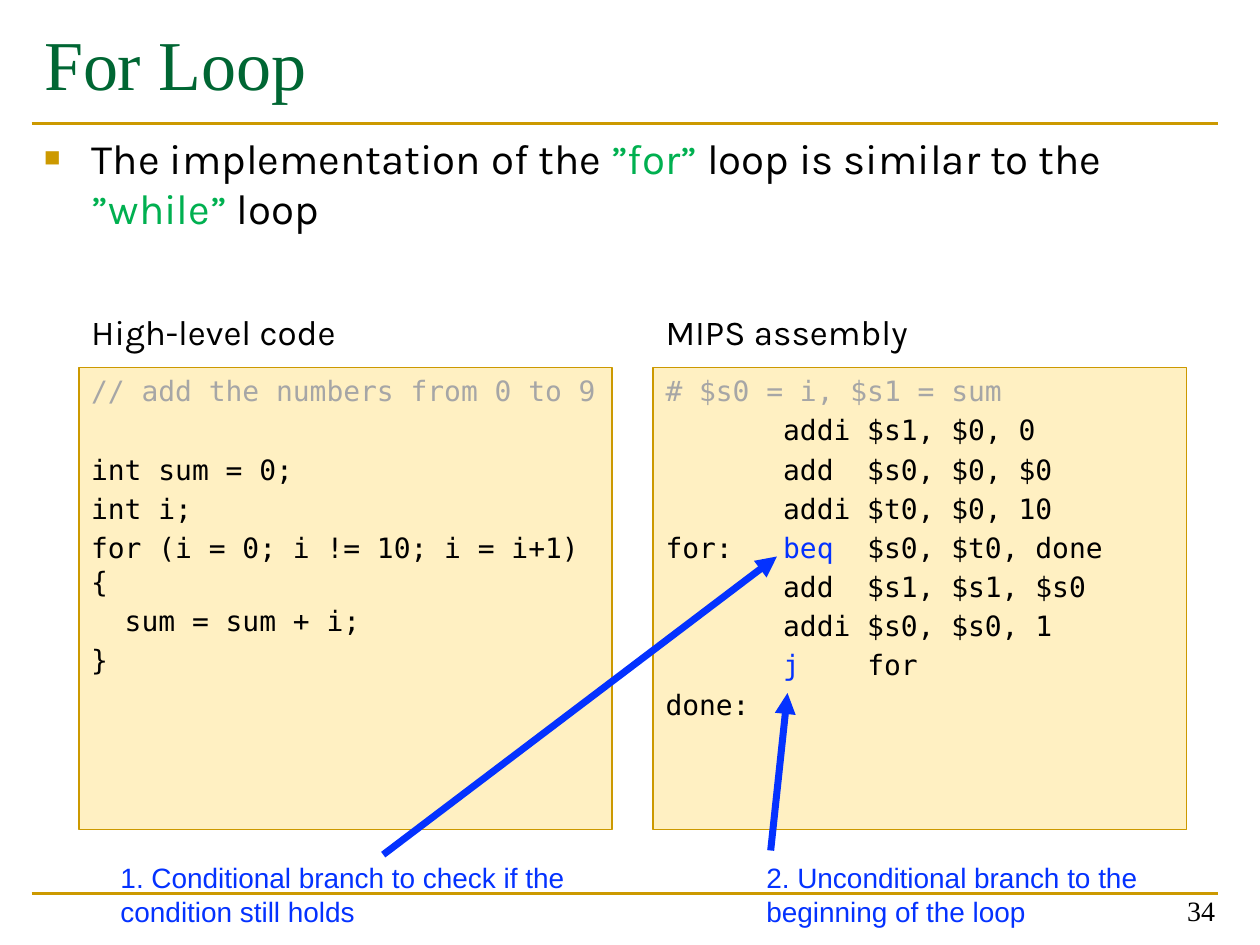
from dataclasses import dataclass

from lxml.etree import SubElement
from pptx import Presentation
from pptx.dml.color import RGBColor
from pptx.enum.shapes import MSO_CONNECTOR, MSO_SHAPE
from pptx.enum.text import MSO_ANCHOR, MSO_AUTO_SIZE, PP_ALIGN
from pptx.oxml.ns import qn
from pptx.util import Inches, Pt

BLACK = RGBColor(0x00, 0x00, 0x00)
GOLD = RGBColor(0xCC, 0x99, 0x00)
CREAM = RGBColor(0xFF, 0xF0, 0xC2)
DARK_GREEN = RGBColor(0x00, 0x66, 0x33)
GREEN = RGBColor(0x00, 0xB0, 0x50)
GRAY = RGBColor(0xA6, 0xA6, 0xA6)
BLUE = RGBColor(0x04, 0x32, 0xFF)

# Grid of 120 columns by 90 rows
COLUMNS, ROWS = 120, 90
SLIDE_WIDTH, SLIDE_HEIGHT = Inches(10), Inches(7.5)

SERIF, SANS, MONO, CALLOUT_FONT = "Times New Roman", "Karla", "DejaVu Sans Mono", "Arial"
CODE_SIZE = 16
CODE_GAP = 0.2 * CODE_SIZE
BLANK_LINE_GAP = 22.4


@dataclass
class Area:
    column: float
    row: float
    columns: float
    rows: float

    def box(self) -> tuple:
        return x(self.column), y(self.row), x(self.columns), y(self.rows)


@dataclass
class Span:
    text: str
    color: RGBColor = BLACK


@dataclass
class CodeLine:
    spans: list[Span]
    blank_above: bool = False


@dataclass
class Panel:
    heading: str
    column: float
    lines: list[CodeLine]


@dataclass
class Callout:
    text: str
    area: Area
    start: tuple[float, float]
    end: tuple[float, float]


def x(columns: float) -> int:
    return round(SLIDE_WIDTH * columns / COLUMNS)


def y(rows: float) -> int:
    return round(SLIDE_HEIGHT * rows / ROWS)


def code(text: str, color: RGBColor = BLACK, blank_above: bool = False) -> CodeLine:
    return CodeLine([Span(text, color)], blank_above)


def add_runs(paragraph, spans: list[Span], font: str, size: float) -> None:
    for span in spans:
        run = paragraph.add_run()
        run.text = span.text
        run.font.name = font
        run.font.size = Pt(size)
        run.font.color.rgb = span.color


def place(shape, area: Area, anchor=MSO_ANCHOR.TOP):
    shape.left, shape.top, shape.width, shape.height = area.box()
    frame = shape.text_frame
    frame.word_wrap = True
    frame.auto_size = MSO_AUTO_SIZE.NONE
    frame.vertical_anchor = anchor
    paragraph = frame.paragraphs[0]
    paragraph.alignment = PP_ALIGN.LEFT
    paragraph.space_before = Pt(0)
    return paragraph


def add_label(slide, area: Area, span: Span, font: str, size: float,
              anchor=MSO_ANCHOR.TOP):
    paragraph = place(slide.shapes.add_textbox(*area.box()), area, anchor)
    add_runs(paragraph, [span], font, size)
    return paragraph


def add_line(slide, start: tuple, end: tuple, color: RGBColor, width: float,
             arrow: bool = False) -> None:
    connector = slide.shapes.add_connector(
        MSO_CONNECTOR.STRAIGHT, x(start[0]), y(start[1]), x(end[0]), y(end[1]))
    connector.line.color.rgb = color
    connector.line.width = Pt(width)
    if arrow:
        SubElement(connector.line._get_or_add_ln(), qn("a:tailEnd"), type="triangle")
    SubElement(connector._element.spPr, qn("a:effectLst"))


def add_bullet(paragraph) -> None:
    properties = paragraph._p.get_or_add_pPr()
    properties.set("marL", str(Inches(0.38)))
    properties.set("indent", str(-Inches(0.38)))
    color = SubElement(properties, qn("a:buClr"))
    SubElement(color, qn("a:srgbClr"), val=str(GOLD))
    SubElement(properties, qn("a:buSzPct"), val="65000")
    SubElement(properties, qn("a:buFont"), typeface="Arial")
    SubElement(properties, qn("a:buChar"), char="■")


def add_panel(slide, panel: Panel) -> None:
    area = Area(panel.column, 35, 50.8, 44)
    shape = slide.shapes.add_shape(MSO_SHAPE.RECTANGLE, *area.box())
    shape.shadow.inherit = False
    shape.fill.solid()
    shape.fill.fore_color.rgb = CREAM
    shape.line.color.rgb = GOLD
    shape.line.width = Pt(1)
    paragraph = place(shape, area)
    for index, line in enumerate(panel.lines):
        if index:
            paragraph = shape.text_frame.add_paragraph()
            paragraph.alignment = PP_ALIGN.LEFT
            paragraph.space_before = Pt(CODE_GAP + BLANK_LINE_GAP * line.blank_above)
        add_runs(paragraph, line.spans, MONO, CODE_SIZE)
    add_label(slide, Area(panel.column, 29, 50.8, 6), Span(panel.heading), SANS, 20)


def add_callout(slide, callout: Callout) -> None:
    add_label(slide, callout.area, Span(callout.text, BLUE), CALLOUT_FONT, 16)
    add_line(slide, callout.start, callout.end, BLUE, 4, arrow=True)


PANELS = [
    Panel("High-level code", 7.5, [
        code("// add the numbers from 0 to 9", GRAY),
        code("int sum = 0;", blank_above=True),
        code("int i;"),
        code("for (i = 0; i != 10; i = i+1) {"),
        code("  sum = sum + i;"),
        code("}"),
    ]),
    Panel("MIPS assembly", 62.2, [
        code("# $s0 = i, $s1 = sum", GRAY),
        code("       addi $s1, $0, 0"),
        code("       add  $s0, $0, $0"),
        code("       addi $t0, $0, 10"),
        CodeLine([Span("for:   "), Span("beq", BLUE), Span("  $s0, $t0, done")]),
        code("       add  $s1, $s1, $s0"),
        code("       addi $s0, $s0, 1"),
        CodeLine([Span("       "), Span("j", BLUE), Span("    for")]),
        code("done:"),
    ]),
]

CALLOUTS = [
    Callout("1. Conditional branch to check if the condition still holds",
            Area(10.3, 81.4, 52.3, 7.7), (36.5, 81.4), (74, 53)),
    Callout("2. Unconditional branch to the beginning of the loop",
            Area(71.8, 81.4, 38.3, 7.7), (73.4, 81), (75, 66)),
]


def main() -> None:
    presentation = Presentation()
    presentation.slide_width, presentation.slide_height = SLIDE_WIDTH, SLIDE_HEIGHT
    slide = presentation.slides.add_slide(presentation.slide_layouts[1])

    # Rules above and below the content
    for row in (11.75, 85.1):
        add_line(slide, (3, row), (116, row), GOLD, 1.5)

    # Title and body
    title = place(slide.shapes.title, Area(3, 0, 113, 12), MSO_ANCHOR.MIDDLE)
    add_runs(title, [Span("For Loop", DARK_GREEN)], SERIF, 40)
    body = place(slide.placeholders[1], Area(3, 12, 113, 73))
    add_bullet(body)
    add_runs(body, [
        Span("The implementation of the "), Span("”for”", GREEN),
        Span(" loop is similar to the "), Span("”while”", GREEN), Span(" loop"),
    ], SANS, 24)

    # Slide number
    number = add_label(slide, Area(88.9, 82.9, 28, 6), Span("34"), SERIF, 16,
                       MSO_ANCHOR.BOTTOM)
    number.alignment = PP_ALIGN.RIGHT

    # Code panels, then the callouts pointing into them
    for panel in PANELS:
        add_panel(slide, panel)
    for callout in CALLOUTS:
        add_callout(slide, callout)

    presentation.save("out.pptx")


if __name__ == "__main__":
    main()
